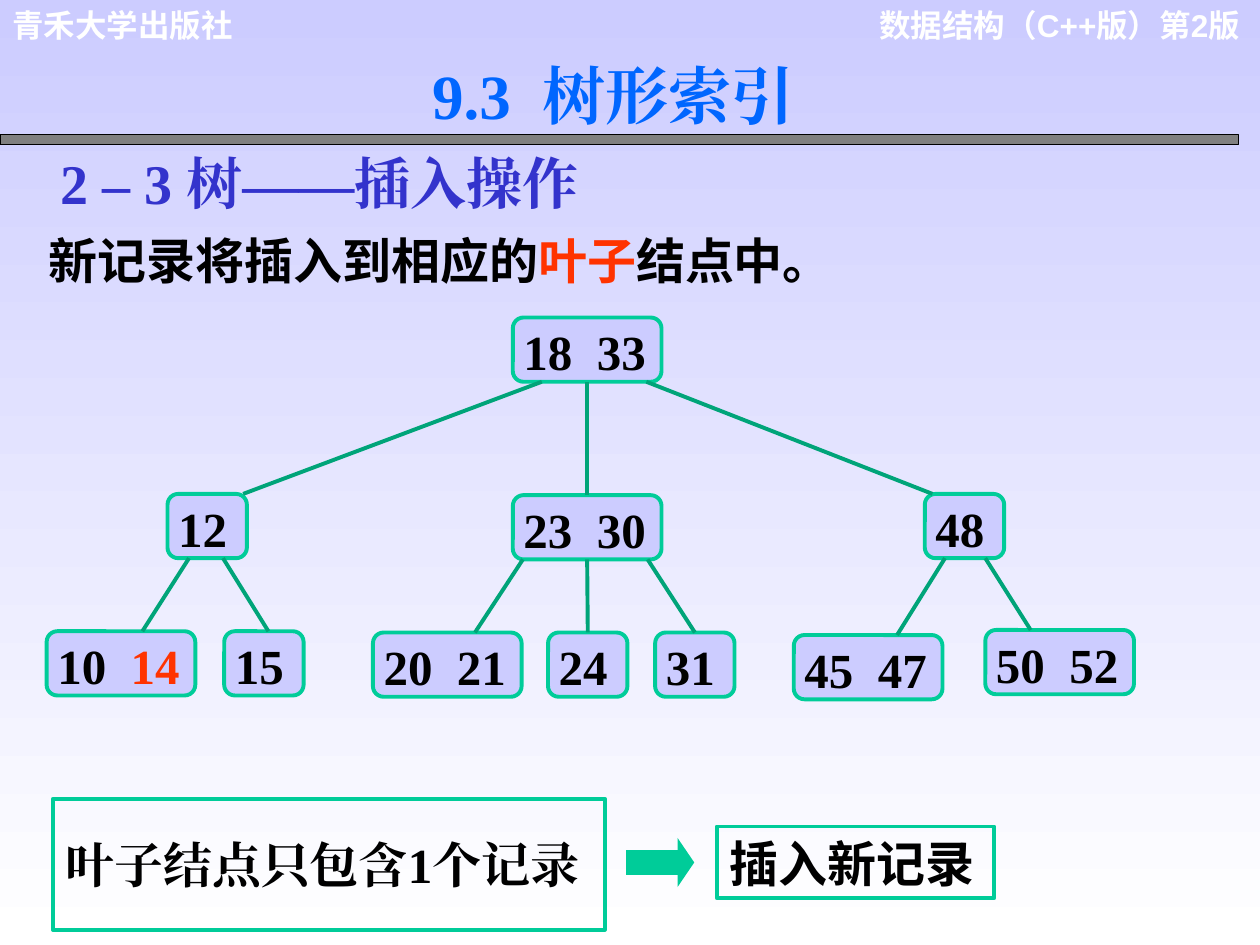
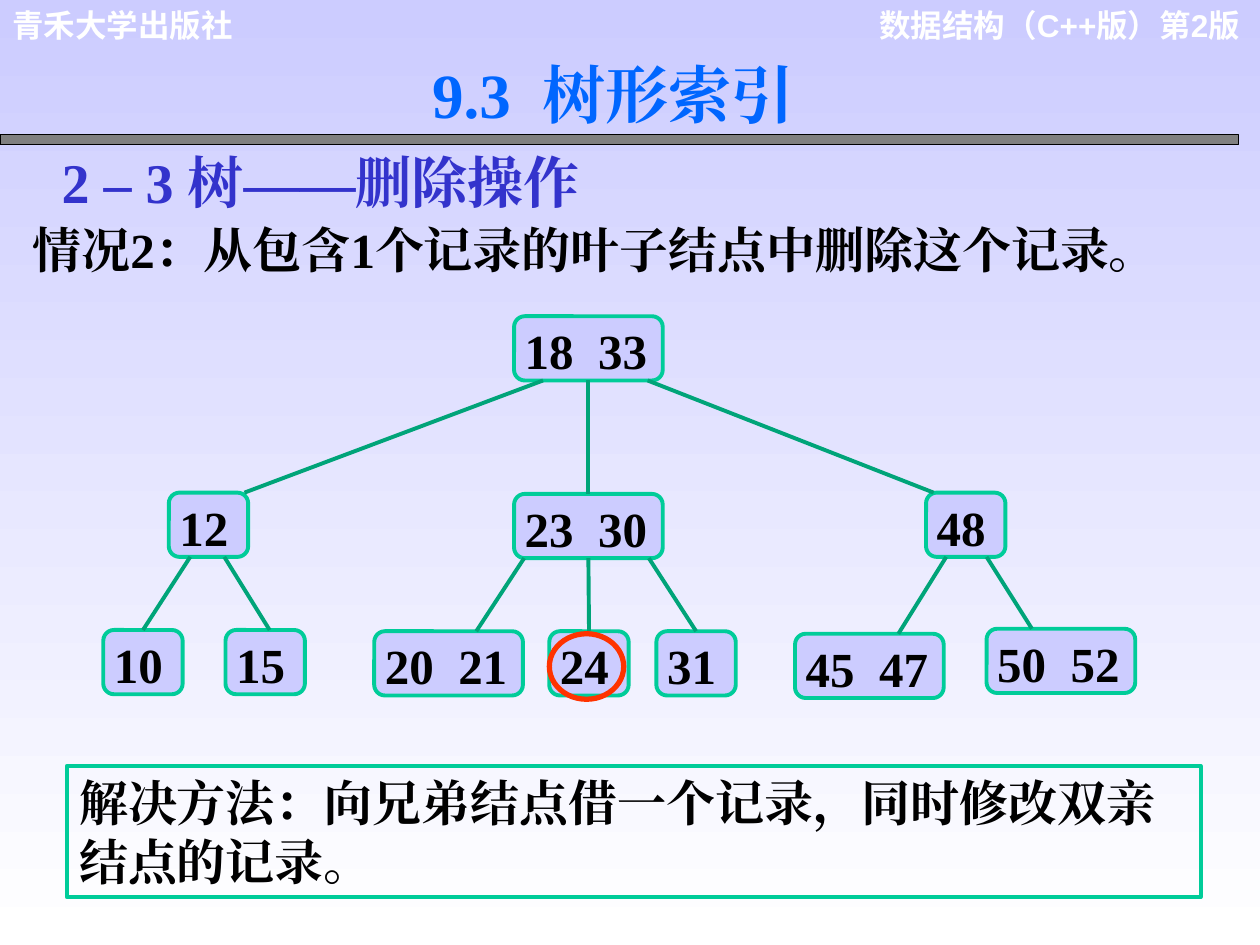
from lxml import etree
from pptx import Presentation
from pptx import util as u
from pptx.dml.color import RGBColor
from pptx.enum import shapes, text
from pptx.oxml.ns import qn

# Shared look
SERIF, SANS = "Times New Roman", "Arial"
BLACK, WHITE, GREY = "000000", "FFFFFF", "808080"
LAVENDER, RED = "CCCCFF", "FF3300"
TITLE_BLUE, HEADING_BLUE = "0066FF", "3333CC"
GREEN, LINK_GREEN = "00CC99", "00A479"
KEY_SIZE = 28
NODE_HEIGHT, NARROW, WIDE = 0.51, 0.63, 1.18
WIDE_INSETS, NODE_INSETS = (0.1, 0.05, 0.1, 0.05), (0.06, 0.01, 0.02, 0.01)

# Tree nodes: keys -> left, top
NODES = {
    "18  33": (4.07, 2.52),
    "12": (1.33, 3.92), "23  30": (4.07, 3.93), "48": (7.34, 3.92),
    "15": (1.78, 5.01), "20  21": (2.96, 5.02), "24": (4.35, 5.02),
    "31": (5.2, 5.02), "45  47": (6.3, 5.04), "50  52": (7.82, 5.0),
}
# Tree links: parent, child, x at the parent's bottom, x at the child's top
LINKS = [
    ("18  33", "12", 4.3, 1.93), ("18  33", "23  30", 4.66, 4.66),
    ("18  33", "48", 5.13, 7.4),
    ("12", "first leaf", 1.5, 1.13), ("12", "15", 1.77, 2.13),
    ("23  30", "20  21", 4.15, 3.77), ("23  30", "24", 4.66, 4.66),
    ("23  30", "31", 5.14, 5.52),
    ("48", "45  47", 7.5, 7.12), ("48", "50  52", 7.82, 8.18),
]


def color(value):
    return RGBColor.from_string(value)


def add_text_shadow(span):
    effects = etree.SubElement(span.font._element, qn("a:effectLst"))
    shadow = etree.SubElement(effects, qn("a:outerShdw"), dist="25400",
                              dir="2700000", algn="tl")
    etree.SubElement(shadow, qn("a:srgbClr"), val=GREY)


def write(box, spans, size=KEY_SIZE, font=SERIF, fill=BLACK, insets=WIDE_INSETS,
          align=text.PP_ALIGN.LEFT, anchor=text.MSO_ANCHOR.TOP, shadow=False):
    """Write one paragraph; spans is a string or a list of (words, colour)."""
    frame = box.text_frame
    frame.word_wrap = True
    frame.auto_size = text.MSO_AUTO_SIZE.NONE
    frame.vertical_anchor = anchor
    (frame.margin_left, frame.margin_top,
     frame.margin_right, frame.margin_bottom) = map(u.Inches, insets)
    para = frame.paragraphs[0]
    para.alignment = align
    for words, tint in [(spans, fill)] if isinstance(spans, str) else spans:
        span = para.add_run()
        span.text = words
        span.font.size, span.font.bold = u.Pt(size), True
        span.font.color.rgb = color(tint)
        if shadow:
            add_text_shadow(span)
        span.font.name = font
        etree.SubElement(span.font._element, qn("a:ea"), typeface=font)


def add_text(page, place, spans, **style):
    box = page.shapes.add_textbox(*map(u.Inches, place))
    write(box, spans, **style)


def add_box(page, kind, place, fill=None, line=None, width=2.25):
    box = page.shapes.add_shape(kind, *map(u.Inches, place))
    box.shadow.inherit = False
    if fill:
        box.fill.solid()
        box.fill.fore_color.rgb = color(fill)
    else:
        box.fill.background()
    if line:
        box.line.color.rgb = color(line)
        box.line.width = u.Pt(width)
    else:
        box.line.fill.background()
    return box


def add_callout(page, place, words, **style):
    box = add_box(page, shapes.MSO_SHAPE.RECTANGLE, place, line=GREEN)
    write(box, words, anchor=text.MSO_ANCHOR.MIDDLE, **style)


def add_node(page, left, top, keys):
    words = keys if isinstance(keys, str) else "".join(part for part, _ in keys)
    width = WIDE if " " in words else NARROW
    box = add_box(page, shapes.MSO_SHAPE.ROUNDED_RECTANGLE,
                  (left, top, width, NODE_HEIGHT), LAVENDER, GREEN)
    write(box, keys, insets=NODE_INSETS, align=text.PP_ALIGN.JUSTIFY)
    return box


def add_link(page, parent, child, start_x, end_x):
    """Link a parent's bottom to a child's top, joined where it meets a middle."""
    link = page.shapes.add_connector(
        shapes.MSO_CONNECTOR.STRAIGHT, u.Inches(start_x),
        parent.top + parent.height, u.Inches(end_x), child.top)
    link.line.color.rgb = color(LINK_GREEN)
    link.line.width = u.Pt(2.25)
    etree.SubElement(link._element.spPr, qn("a:effectLst"))
    for box, x, side, join in ((parent, start_x, 2, link.begin_connect),
                               (child, end_x, 0, link.end_connect)):
        if abs(box.left + box.width // 2 - u.Inches(x)) < u.Inches(0.03):
            join(box, side)


def add_tree(page, first_leaf, leaf_left, dx=0, dy=0):
    places = {**NODES, "first leaf": (leaf_left, 5.01)}
    boxes = {
        name: add_node(page, left + dx, top + dy,
                       first_leaf if name == "first leaf" else name)
        for name, (left, top) in places.items()
    }
    for parent, child, start_x, end_x in LINKS:
        add_link(page, boxes[parent], boxes[child], start_x + dx, end_x + dx)


def add_page(deck, heading, dx=0, dy=0):
    """Add a page with the running headers, title, grey rule and heading."""
    page = deck.slides.add_slide(deck.slide_layouts[5])
    add_text(page, (6.77, 0, 3.17, 0.7), "数据结构（C++版）第2版", size=18,
             font=SANS, fill=WHITE, align=text.PP_ALIGN.RIGHT)
    add_text(page, (0, 0, 2.71, 0.4), "青禾大学出版社", size=18, font=SANS,
             fill=WHITE)
    add_box(page, shapes.MSO_SHAPE.RECTANGLE, (0, 1.07, 9.83, 0.08),
            GREY, BLACK, 0.75)
    title = page.shapes.title
    title.left, title.top, title.width, title.height = map(
        u.Inches, (3.33, 0.4 + dy, 4.08, 0.7))
    write(title, "9.3  树形索引", size=36, fill=TITLE_BLUE, shadow=True)
    add_text(page, (0.38 + dx, 1.13 + dy, 4.57, 0.64), heading, size=32,
             fill=HEADING_BLUE)
    return page


def set_background(deck):
    fill = deck.slide_master.background.fill
    fill.gradient()
    fill.gradient_angle = 270
    for stop, tint, position in zip(fill.gradient_stops, (LAVENDER, WHITE), (0, 1)):
        stop.color.rgb = color(tint)
        stop.position = position


def add_insertion_page(deck):
    page = add_page(deck, "2 – 3 树——插入操作")
    add_text(page, (0.29, 1.78, 6.41, 0.57),
             [("新记录将插入到相应的", BLACK), ("叶子", RED), ("结点中。", BLACK)],
             font=SANS)
    add_tree(page, [("10  ", BLACK), ("14", RED)], 0.37)
    # Rule: condition -> action
    add_callout(page, (0.42, 6.34, 4.38, 1.04), "叶子结点只包含1个记录")
    arrow = add_box(page, shapes.MSO_SHAPE.RIGHT_ARROW,
                    (4.97, 6.65, 0.54, 0.39), GREEN)
    arrow.adjustments[1] = 0.34
    add_callout(page, (5.69, 6.56, 2.2, 0.57), "插入新记录", font=SANS)


def add_deletion_page(deck):
    dx, dy = 0.01, -0.01
    page = add_page(deck, "2 – 3 树——删除操作", dx, dy)
    add_text(page, (0.16, 1.69, 9.59, 0.57),
             "情况2：从包含1个记录的叶子结点中删除这个记录。",
             anchor=text.MSO_ANCHOR.MIDDLE)
    add_tree(page, "10", 0.81, dx, dy)
    # Ring around the record to delete
    add_box(page, shapes.MSO_SHAPE.OVAL, (4.36, 5.03, 0.59, 0.52),
            line=RED, width=3)
    add_callout(page, (0.53, 6.08, 9, 1.04),
                "解决方法：向兄弟结点借一个记录，同时修改双亲结点的记录。")


def main():
    deck = Presentation()
    deck.slide_width, deck.slide_height = u.Inches(10), u.Inches(7.5)
    set_background(deck)
    add_insertion_page(deck)
    add_deletion_page(deck)
    deck.save("out.pptx")


if __name__ == "__main__":
    main()
